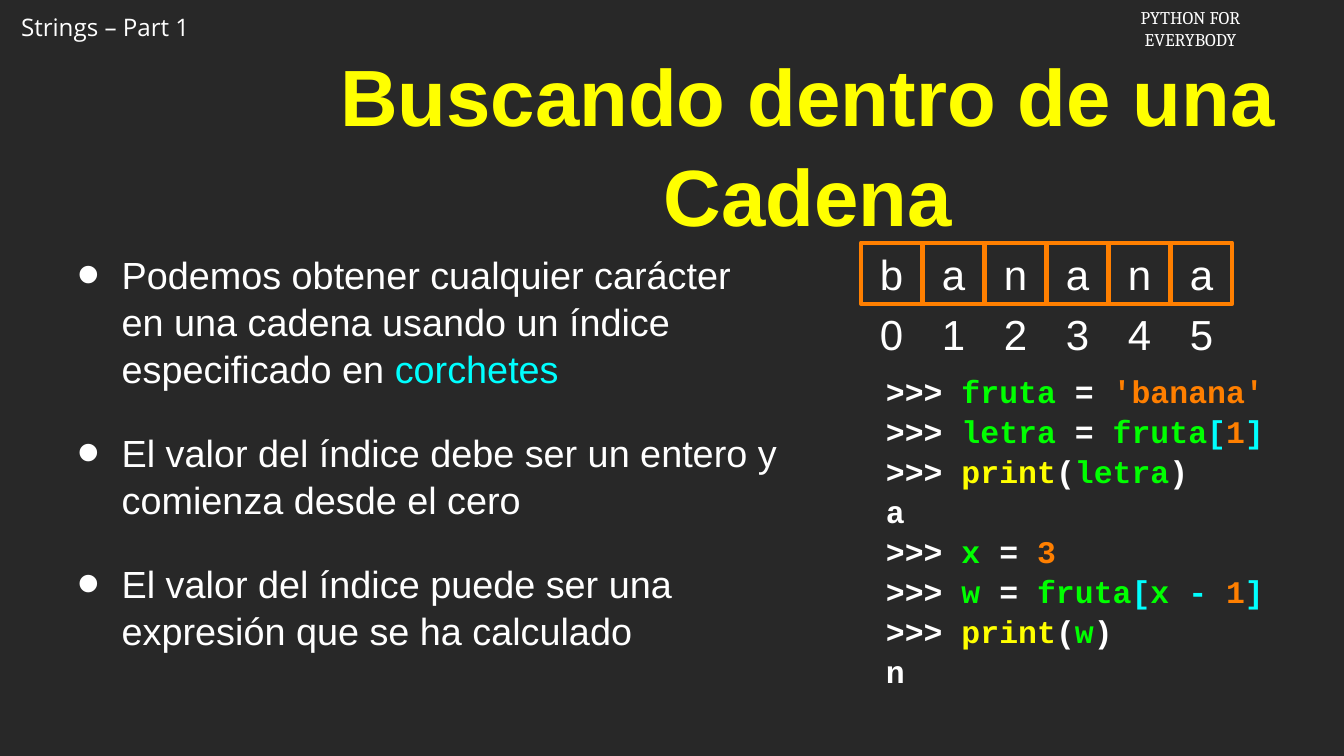
from lxml import etree
from pptx import Presentation
from pptx.dml.color import RGBColor
from pptx.enum import shapes, text
from pptx.oxml import ns
from pptx.util import Inches, Pt

DARK = RGBColor(0x28, 0x28, 0x28)
WHITE = RGBColor(0xFF, 0xFF, 0xFF)
YELLOW = RGBColor(0xFF, 0xFF, 0x00)
CYAN = RGBColor(0x00, 0xFF, 0xFF)
GREEN = RGBColor(0x00, 0xFF, 0x00)
ORANGE = RGBColor(0xFF, 0x7F, 0x00)

PROMPT = (">>> ", WHITE)
EQUAL = (" = ", WHITE)
OPEN, CLOSE = ("[", CYAN), ("]", CYAN)
FRUIT = ("fruta", GREEN)

POINTS = [
    [("Podemos obtener cualquier carácter en una cadena usando un índice especificado en ", WHITE),
     ("corchetes", CYAN)],
    "El valor del índice debe ser un entero y comienza desde el cero",
    "El valor del índice puede ser una expresión que se ha calculado",
]


def show(name):
    """Return the coloured runs of a print call."""
    return [PROMPT, ("print", YELLOW), ("(", WHITE), (name, GREEN), (")", WHITE)]


CODE = [
    [PROMPT, FRUIT, EQUAL, ("'banana'", ORANGE)],
    [PROMPT, ("letra", GREEN), EQUAL, FRUIT, OPEN, ("1", ORANGE), CLOSE],
    show("letra"),
    "a",
    [PROMPT, ("x", GREEN), EQUAL, ("3", ORANGE)],
    [PROMPT, ("w", GREEN), EQUAL, FRUIT, OPEN, ("x", GREEN), (" - ", CYAN), ("1", ORANGE), CLOSE],
    show("w"),
    "n",
]


def add_bullet(para):
    """Give a paragraph a hanging round bullet."""
    props = para._p.get_or_add_pPr()
    props.set("marL", str(Inches(0.82)))
    props.set("indent", str(Inches(-0.58)))
    color = etree.SubElement(props, ns.qn("a:buClr"))
    etree.SubElement(color, ns.qn("a:srgbClr"), val=str(WHITE))
    etree.SubElement(props, ns.qn("a:buSzPct"), val="171000")
    etree.SubElement(props, ns.qn("a:buFont"), typeface="Arial")
    etree.SubElement(props, ns.qn("a:buChar"), char="•")


def write(shape, lines, size=40, font="Arial", color=WHITE, bold=False, center=False,
          middle=True, inset=0, wrap=True, bullet=False, before=0, spacing=None):
    """Fill a shape with lines, each a string or a list of coloured runs."""
    frame = shape.text_frame
    frame.word_wrap = wrap
    if not wrap:
        frame.auto_size = text.MSO_AUTO_SIZE.SHAPE_TO_FIT_TEXT
    frame.vertical_anchor = text.MSO_ANCHOR.MIDDLE if middle else text.MSO_ANCHOR.TOP
    if inset is not None:
        frame.margin_left = frame.margin_right = Inches(inset)
        frame.margin_top = frame.margin_bottom = Inches(inset)
    for i, line in enumerate(lines):
        para = frame.add_paragraph() if i else frame.paragraphs[0]
        if bullet:
            add_bullet(para)
        para.alignment = text.PP_ALIGN.CENTER if center else text.PP_ALIGN.LEFT
        if i and before:
            para.space_before = Pt(before)
        if spacing:
            para.line_spacing = spacing
        for words, tint in [(line, color)] if isinstance(line, str) else line:
            run = para.add_run()
            run.text = words
            run.font.size = Pt(size)
            run.font.name = font
            run.font.bold = bold
            run.font.color.rgb = tint


def add_text(slide, box, lines, **style):
    """Add a text box with formatted lines."""
    write(slide.shapes.add_textbox(*map(Inches, box)), lines, **style)


def add_cell(slide, box, letter):
    """Add an outlined square that holds one letter."""
    cell = slide.shapes.add_shape(shapes.MSO_SHAPE.RECTANGLE, *map(Inches, box))
    cell.shadow.inherit = False
    cell.fill.background()
    cell.line.color.rgb = ORANGE
    cell.line.width = Pt(4)
    write(cell, [letter], center=True)


def add_word(slide, word, left, top, side=0.81, step=0.82):
    """Draw a word as a row of cells with an index under each."""
    for i, letter in enumerate(word):
        x = left + i * step
        add_text(slide, (x, top + 0.8, side, side), [str(i)], center=True)
        add_cell(slide, (x, top, side, side), letter)


def main():
    """Build the slide and save it."""
    deck = Presentation()
    deck.slide_width, deck.slide_height = Inches(17.78), Inches(10)
    slide = deck.slides.add_slide(deck.slide_layouts[6])
    slide.background.fill.solid()
    slide.background.fill.fore_color.rgb = DARK

    head = dict(middle=False, inset=None, wrap=False)
    add_text(slide, (0.18, 0.12, 2.57, 0.49), ["Strings – Part 1"],
             size=23, font="Open Sans", **head)
    add_text(slide, (14.88, 0.04, 1.74, 0.67), ["PYTHON FOR", "EVERYBODY"],
             size=17, font="Cambria", center=True, **head)
    add_text(slide, (4.09, 0.95, 13.19, 1.87), ["Buscando dentro de una Cadena"],
             size=76, color=YELLOW, bold=True, center=True, inset=0.04, spacing=1.04)
    add_text(slide, (0.75, 2.85, 9.6, 6.24), POINTS,
             size=36, inset=0.04, bullet=True, before=35, spacing=1.04)
    add_text(slide, (11.72, 4.94, 5.34, 4.14), CODE,
             size=30, font="Courier New", bold=True, spacing=1.06)
    add_word(slide, "banana", 11.39, 3.21)
    deck.save("out.pptx")


if __name__ == "__main__":
    main()
